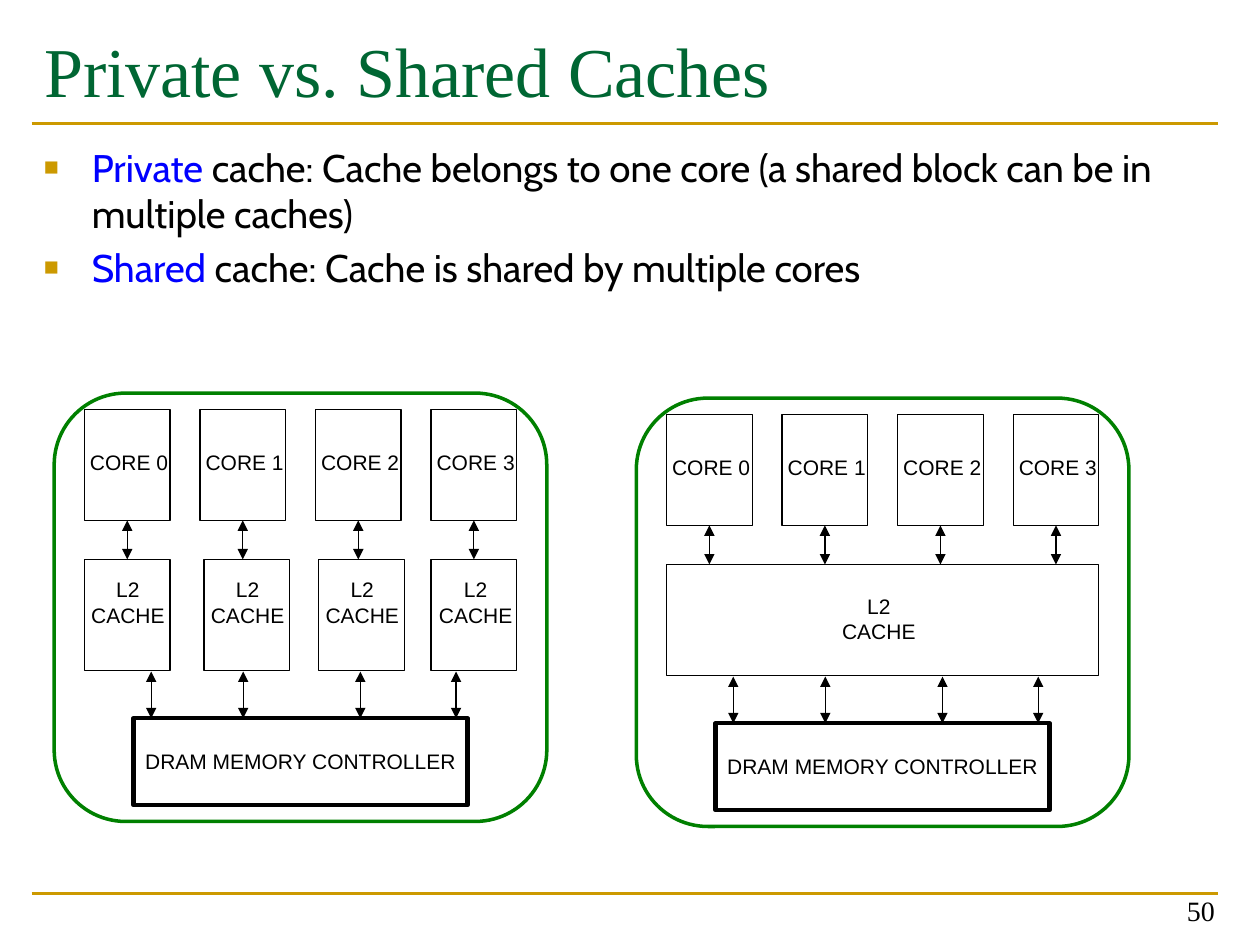
from dataclasses import dataclass

from lxml.etree import SubElement
from pptx import Presentation
from pptx.dml.color import RGBColor
from pptx.enum.shapes import MSO_CONNECTOR, MSO_SHAPE
from pptx.enum.text import MSO_ANCHOR, MSO_AUTO_SIZE, PP_ALIGN
from pptx.oxml.ns import qn
from pptx.util import Inches, Pt

BLACK = RGBColor(0x00, 0x00, 0x00)
GOLD = RGBColor(0xCC, 0x99, 0x00)
TITLE_GREEN = RGBColor(0x00, 0x66, 0x33)
CHIP_GREEN = RGBColor(0x00, 0x80, 0x00)
BLUE = RGBColor(0x00, 0x00, 0xFF)

CORES = 4
CORE_PITCH = 0.917
BOX_W, BOX_H = 0.68, 0.88


@dataclass
class Chip:
    """One multi-core chip, with all parts placed relative to its corner."""
    left: float
    top: float
    cache_lefts: list[float]
    cache_width: float
    cache_label_lefts: list[float]
    cache_label_top: float


CHIPS = [
    Chip(0.43, 3.12, [0.24, 1.19, 2.10, 2.99], BOX_W, [0.19, 1.14, 2.05, 2.95], 1.41),
    Chip(5.05, 3.16, [0.24], 3.43, [1.53], 1.50),
]
BULLETS = [
    ("Private ", "cache: Cache belongs to one core (a shared block can be in multiple caches)"),
    ("Shared", " cache: Cache is shared by multiple cores"),
]


def add_run(p, text: str, size: float, font: str, color: RGBColor) -> None:
    r = p.add_run()
    r.text = text
    r.font.size = Pt(size)
    r.font.name = font
    r.font.color.rgb = color


def add_text_box(s, x: float, y: float, w: float, h: float, wrap: bool = True):
    tf = s.shapes.add_textbox(Inches(x), Inches(y), Inches(w), Inches(h)).text_frame
    tf.word_wrap = wrap
    return tf


def add_label(s, lines: list[str], x: float, y: float, w: float, h: float) -> None:
    tf = add_text_box(s, x, y, w, h, wrap=False)
    for i, line in enumerate(lines):
        p = tf.paragraphs[0] if i == 0 else tf.add_paragraph()
        p.alignment = PP_ALIGN.CENTER
        add_run(p, line, 12, "Arial", BLACK)


def add_box(s, x: float, y: float, w: float, h: float, weight: float = 0.75,
            color: RGBColor = BLACK, kind: MSO_SHAPE = MSO_SHAPE.RECTANGLE):
    sp = s.shapes.add_shape(kind, Inches(x), Inches(y), Inches(w), Inches(h))
    sp.shadow.inherit = False
    sp.fill.background()
    sp.line.color.rgb = color
    sp.line.width = Pt(weight)
    return sp


def add_line(s, x1: float, y1: float, x2: float, y2: float, weight: float = 0.75,
             color: RGBColor = BLACK, arrows: bool = False) -> None:
    cx = s.shapes.add_connector(MSO_CONNECTOR.STRAIGHT, Inches(x1), Inches(y1),
                                Inches(x2), Inches(y2))
    cx.line.color.rgb = color
    cx.line.width = Pt(weight)
    if arrows:
        ln = cx.line._get_or_add_ln()
        for end in ("a:headEnd", "a:tailEnd"):
            SubElement(ln, qn(end), type="triangle")
    SubElement(cx._element.spPr, qn("a:effectLst"))


def add_bullet(p) -> None:
    pPr = p._p.get_or_add_pPr()
    pPr.set("marL", str(Inches(0.38)))
    pPr.set("indent", str(-Inches(0.38)))
    color = SubElement(pPr, qn("a:buClr"))
    SubElement(color, qn("a:srgbClr"), val=str(GOLD))
    SubElement(pPr, qn("a:buSzPct"), val="65000")
    SubElement(pPr, qn("a:buFont"), typeface="Arial")
    SubElement(pPr, qn("a:buChar"), char="■")


def draw_chip(s, chip: Chip) -> None:
    x, y = chip.left, chip.top
    for i in range(CORES):
        core_x = x + 0.24 + i * CORE_PITCH
        add_box(s, core_x, y + 0.13, BOX_W, BOX_H)
        add_label(s, [f"CORE {i}"], core_x - 0.06, y + 0.4, 0.83, 0.3)
        middle = core_x + BOX_W / 2
        add_line(s, middle, y + 1.01, middle, y + 1.32, arrows=True)
    for cache_x in chip.cache_lefts:
        add_box(s, x + cache_x, y + 1.32, chip.cache_width, BOX_H)
    for label_x in chip.cache_label_lefts:
        add_label(s, ["L2", "CACHE"], x + label_x, y + chip.cache_label_top, 0.79, 0.5)
    for arrow_x in (0.77, 1.5, 2.43, 3.19):
        add_line(s, x + arrow_x, y + 2.21, x + arrow_x, y + 2.58, arrows=True)
    add_box(s, x + 0.63, y + 2.58, 2.65, 0.69, 2.5)
    add_label(s, ["DRAM MEMORY CONTROLLER"], x + 0.61, y + 2.77, 2.69, 0.3)
    outline = add_box(s, x, y, 3.91, 3.4, 2, CHIP_GREEN, MSO_SHAPE.ROUNDED_RECTANGLE)
    outline.adjustments[0] = 0.167


def main() -> None:
    prs = Presentation()
    prs.slide_width, prs.slide_height = Inches(10), Inches(7.5)
    s = prs.slides.add_slide(prs.slide_layouts[5])

    for rule_y in (0.98, 7.09):
        add_line(s, 0.25, rule_y, 9.67, rule_y, 1.5, GOLD)

    title = s.shapes.title
    title.left, title.top = Inches(0.25), Inches(0.17)
    title.width, title.height = Inches(9.42), Inches(1.17)
    tf = title.text_frame
    tf.auto_size = MSO_AUTO_SIZE.NONE
    tf.vertical_anchor = MSO_ANCHOR.TOP
    p = tf.paragraphs[0]
    p.alignment = PP_ALIGN.LEFT
    add_run(p, "Private vs. Shared Caches", 40, "Times New Roman", TITLE_GREEN)

    tf = add_text_box(s, 0.25, 1.09, 9.75, 5.68)
    for i, (term, meaning) in enumerate(BULLETS):
        p = tf.paragraphs[0] if i == 0 else tf.add_paragraph()
        p.space_before = Pt(4.4)
        add_bullet(p)
        add_run(p, term, 22, "Cabin", BLUE)
        add_run(p, meaning, 22, "Cabin", BLACK)

    for chip in CHIPS:
        draw_chip(s, chip)

    tf = add_text_box(s, 7.41, 6.91, 2.33, 0.5)
    tf.vertical_anchor = MSO_ANCHOR.BOTTOM
    p = tf.paragraphs[0]
    p.alignment = PP_ALIGN.RIGHT
    add_run(p, "50", 16, "Times New Roman", BLACK)

    prs.save("out.pptx")


if __name__ == "__main__":
    main()
